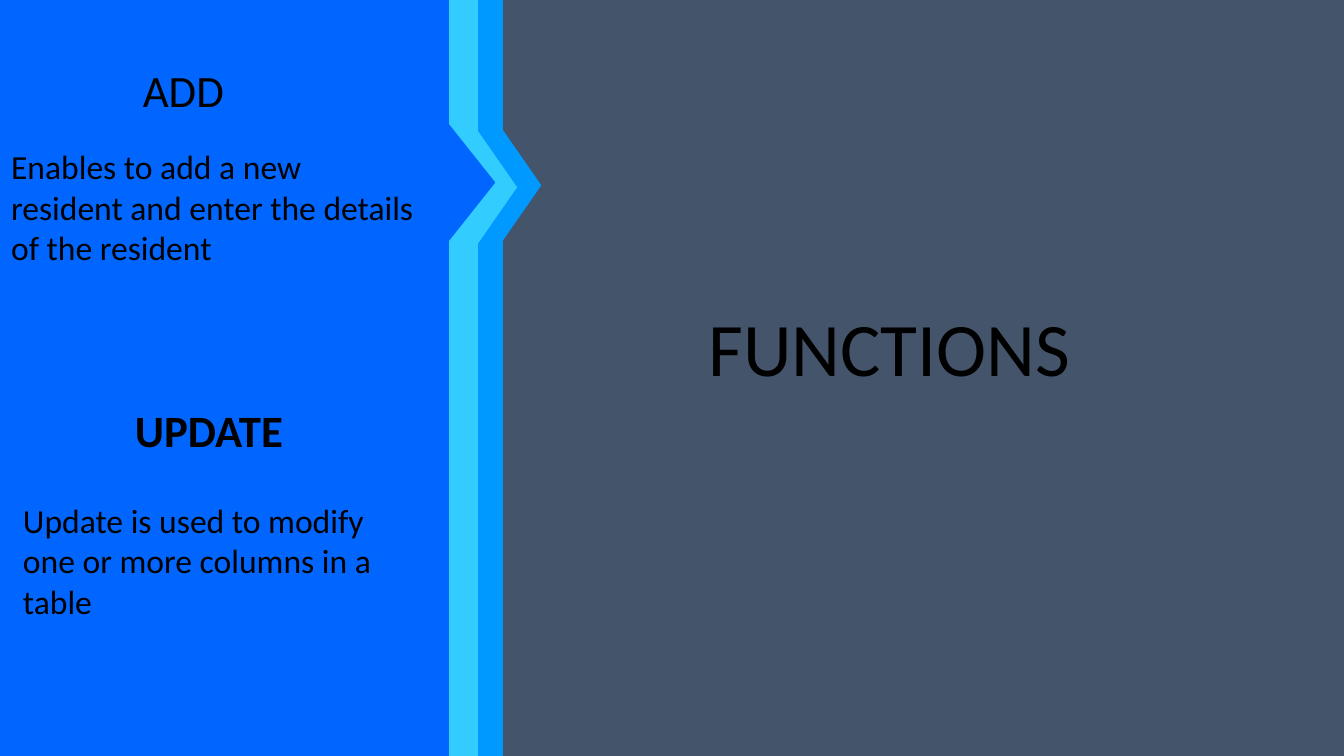
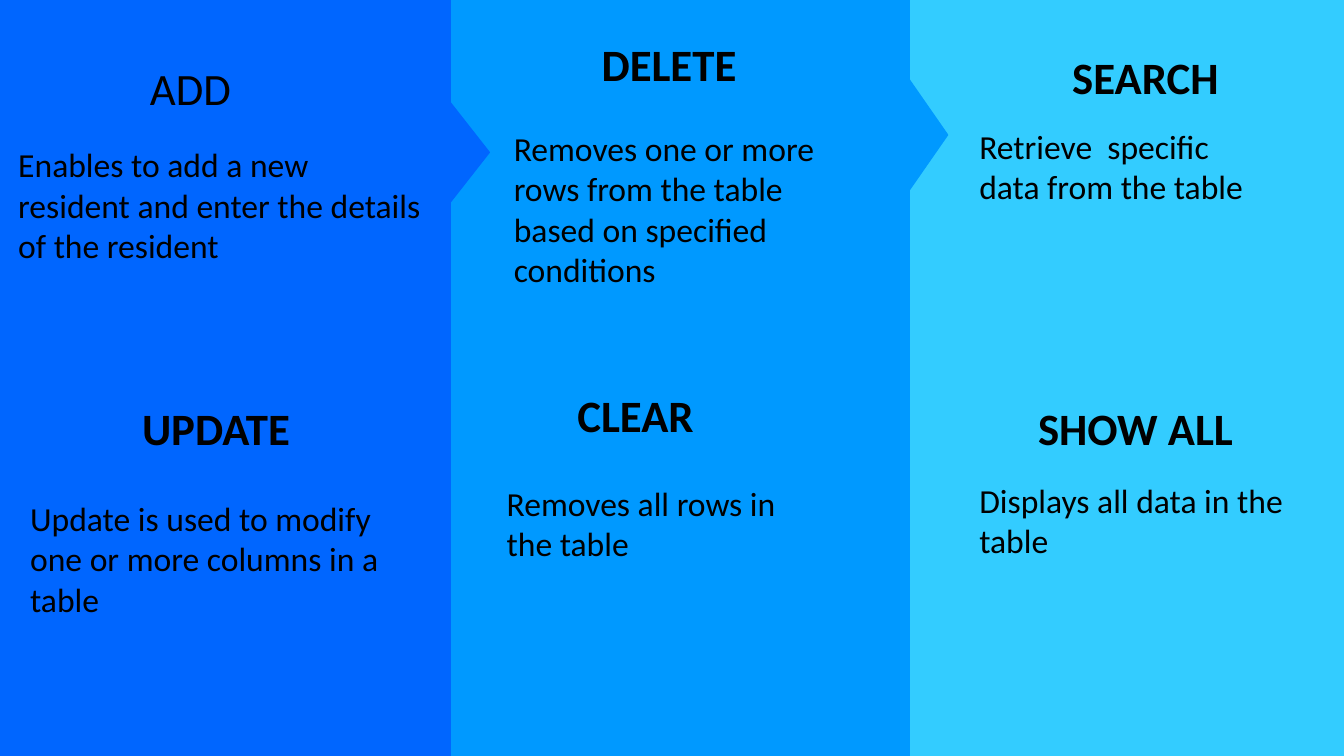
from pptx import Presentation
from pptx.dml.color import RGBColor
from pptx.enum.shapes import MSO_SHAPE
from pptx.enum.text import MSO_ANCHOR, MSO_AUTO_SIZE, PP_ALIGN
from pptx.util import Cm, Pt

RECT = MSO_SHAPE.RECTANGLE
TRIANGLE = MSO_SHAPE.ISOSCELES_TRIANGLE
CENTER = PP_ALIGN.CENTER
MIDDLE = MSO_ANCHOR.MIDDLE
NO_FIT = MSO_AUTO_SIZE.NONE
TITLE_ONLY, BLANK = 5, 6

WIDTH, HEIGHT = 33.87, 19.05
COLORS = {
    "background": "44546A",
    "blue": "0066FF",
    "azure": "0099FF",
    "cyan": "33CCFF",
    "text": "000000",
}


class Deck:
    font = "Calibri"
    title_size, heading_size, body_size = 54, 32, 24

    def __init__(self):
        self.prs = Presentation()
        self.prs.slide_width, self.prs.slide_height = Cm(WIDTH), Cm(HEIGHT)
        self.paint(self.prs.slide_master.background.fill, "background")
        self.slide = None

    def paint(self, fill, color):
        fill.solid()
        fill.fore_color.rgb = RGBColor.from_string(COLORS[color])

    def add_slide(self, layout):
        self.slide = self.prs.slides.add_slide(self.prs.slide_layouts[layout])

    def style(self, p, size, bold=False):
        for r in p.runs:
            r.font.name = self.font
            r.font.size = Pt(size)
            r.font.bold = bold
            r.font.color.rgb = RGBColor.from_string(COLORS["text"])

    def shape(self, kind, color, x, y, w, h):
        sp = self.slide.shapes.add_shape(kind, Cm(x), Cm(y), Cm(w), Cm(h))
        sp.shadow.inherit = False
        self.paint(sp.fill, color)
        self.paint(sp.line.fill, color)
        sp.line.width = Pt(1)
        return sp

    def panel(self, color, left, right, tip_y=None, base=0, depth=0):
        self.shape(RECT, color, left, 0, right - left, HEIGHT)
        if tip_y is not None:
            x = right + (depth - base) / 2
            sp = self.shape(TRIANGLE, color, x, tip_y - depth / 2, base, depth)
            sp.rotation = 90

    def title(self, text, x, y, w, h):
        sp = self.slide.shapes.title
        sp.left, sp.top, sp.width, sp.height = Cm(x), Cm(y), Cm(w), Cm(h)
        tf = sp.text_frame
        tf.text = text
        tf.auto_size = NO_FIT
        tf.vertical_anchor = MIDDLE
        p = tf.paragraphs[0]
        p.alignment = CENTER
        self.style(p, self.title_size)

    def text(self, text, x, y, w, h, size, bold=False):
        tf = self.slide.shapes.add_textbox(Cm(x), Cm(y), Cm(w), Cm(h)).text_frame
        tf.word_wrap = True
        tf.text = text
        self.style(tf.paragraphs[0], size, bold)

    def card(self, heading, heading_at, body, body_at, width, bold=True, shift=(0, 0)):
        dx, dy = shift
        x, y = heading_at
        self.text(heading, x + dx, y + dy, 6.5, 1.6, self.heading_size, bold)
        x, y = body_at
        self.text(body, x + dx, y + dy, width, 3.3, self.body_size)

    def edit_cards(self, shift=(0, 0)):
        self.card("ADD", (3.35, 1.45),
                  "Enables to add a new resident and enter the details of the resident",
                  (0.03, 3.56), 10.67, bold=False, shift=shift)
        self.card("UPDATE", (3.15, 10.03),
                  "Update is used to modify one or more columns in a table",
                  (0.33, 12.47), 9.68, shift=shift)


def main():
    deck = Deck()

    deck.add_slide(TITLE_ONLY)
    deck.panel("azure", 0, 12.65, 4.67, 2.79, 0.97)
    deck.panel("cyan", 0, 12.04, 4.72, 2.79, 0.97)
    deck.panel("blue", 0, 11.3, 4.6, 2.92, 1.16)
    deck.edit_cards()
    deck.title("FUNCTIONS", 16.5, 7.44, 11.83, 2.57)

    deck.add_slide(BLANK)
    deck.panel("cyan", 22.91, WIDTH)
    deck.panel("azure", 11.35, 22.91, 3.4, 2.79, 0.97)
    deck.panel("blue", 0, 11.35, 3.84, 2.5, 0.98)
    deck.edit_cards(shift=(0.18, -0.05))
    deck.card("DELETE", (14.91, 0.79),
              "Removes one or more rows from the table based on specified conditions",
              (12.7, 3.1), 8.36)
    deck.card("CLEAR", (14.3, 9.65), "Removes all rows in the table",
              (12.52, 12.04), 8.36)
    deck.card("SEARCH", (26.77, 1.12), "Retrieve  specific data from the table",
              (24.43, 3.05), 7.42)
    deck.card("SHOW ALL", (25.91, 9.98), "Displays all data in the table",
              (24.43, 11.96), 8.36)

    deck.prs.save("out.pptx")


if __name__ == "__main__":
    main()
